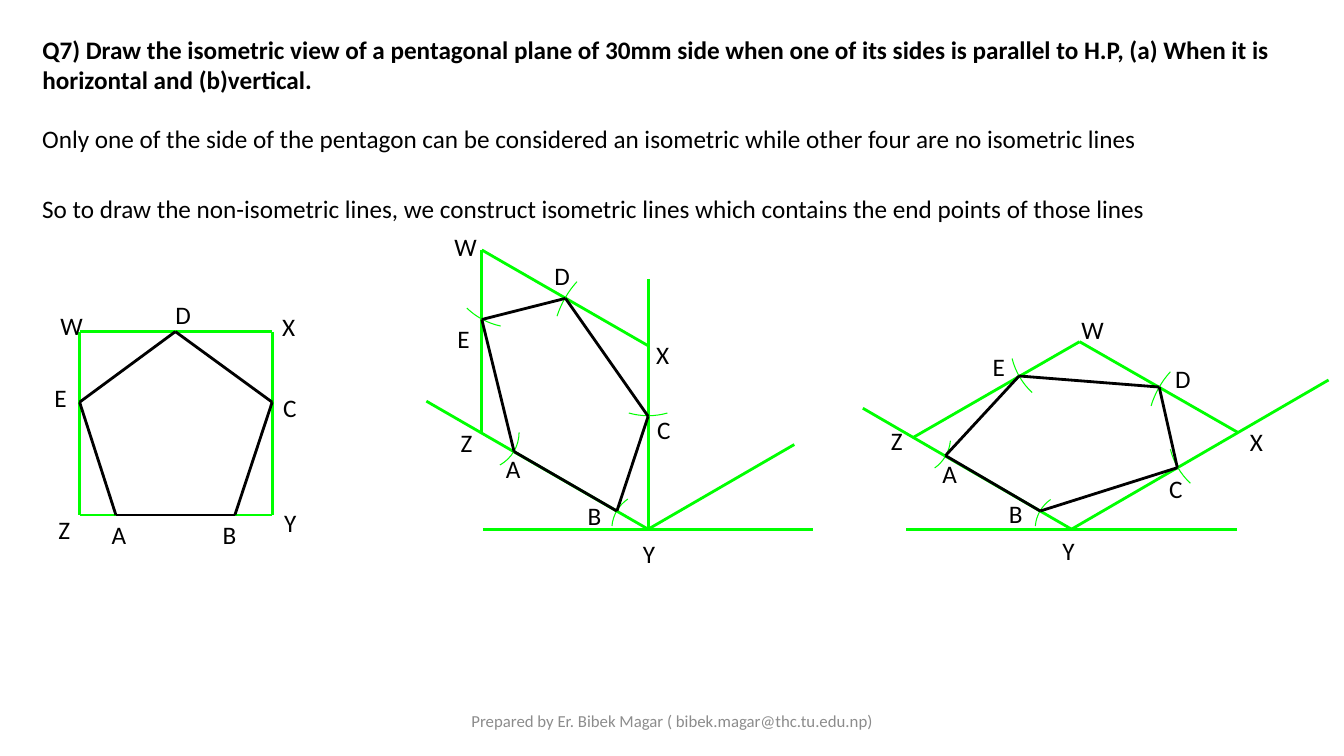
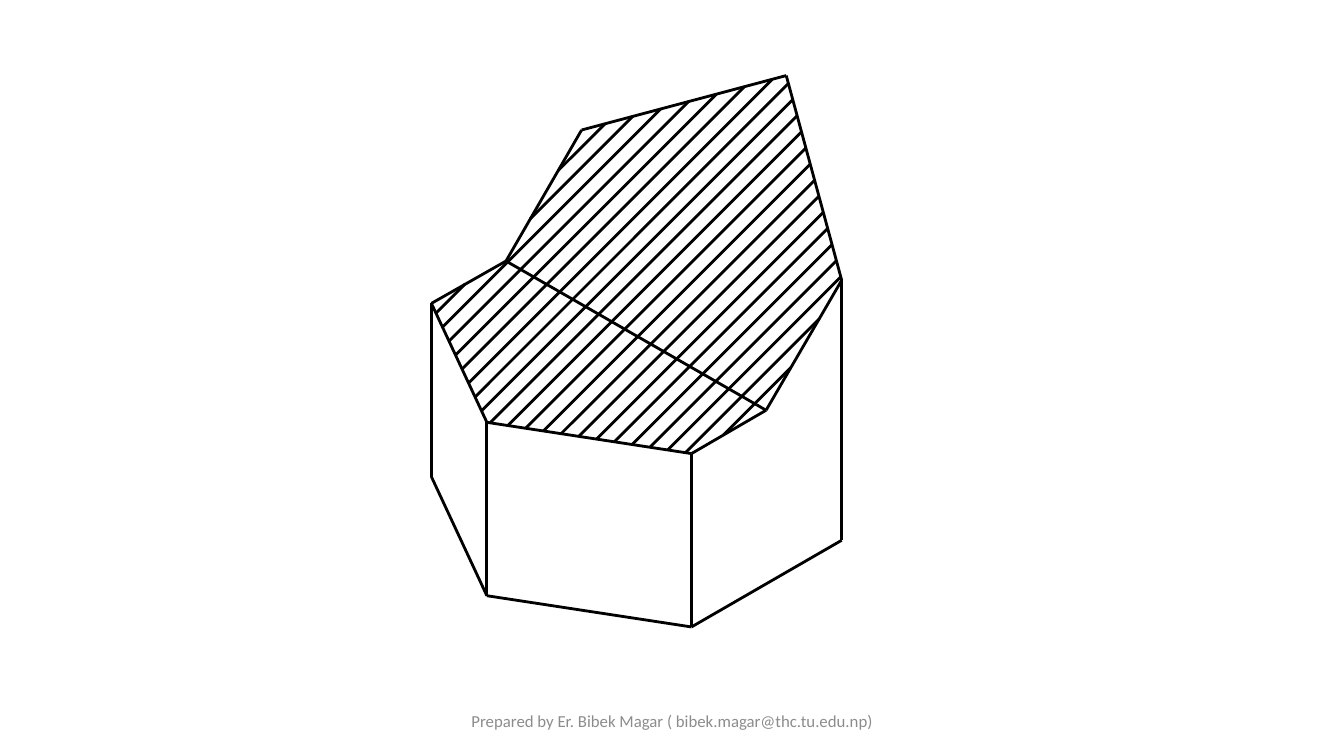
import math
from dataclasses import dataclass
from itertools import pairwise
from typing import NamedTuple

import pptx
import pptx.dml.color
import pptx.enum.shapes
import pptx.enum.text
import pptx.oxml.ns
import pptx.util
from lxml import etree

RGBColor = pptx.dml.color.RGBColor
BLACK = RGBColor(0x00, 0x00, 0x00)
GREEN = RGBColor(0x00, 0xFF, 0x00)
GREY = RGBColor(0x8C, 0x8C, 0x8C)

CELL = pptx.util.Inches(0.1)
COLS, ROWS = 133.33, 75
HAIRLINE = pptx.util.Pt(0)
ALIGN = pptx.enum.text.PP_ALIGN
ANCHOR = pptx.enum.text.MSO_ANCHOR

FONT = {"name": "Calibri", "size": pptx.util.Pt(18), "bold": False}
TITLE_FONT = FONT | {"bold": True}
FOOTER_FONT = FONT | {"size": pptx.util.Pt(12)}

FOOTER = "Prepared by Er. Bibek Magar ( bibek.magar@thc.tu.edu.np)"
TITLE = (
    "Q7) Draw the isometric view of a pentagonal plane of 30mm side when one of its "
    "sides is parallel to H.P, (a) When it is horizontal and (b)vertical."
)
NOTES = (
    "Only one of the side of the pentagon can be considered an isometric "
    "while other four are no isometric lines",
    "So to draw the non-isometric lines, we construct isometric lines "
    "which contains the end points of those lines",
)


class Point(NamedTuple):
    x: float
    y: float


class Vertex(NamedTuple):
    at: Point
    label: Point


class Arc(NamedTuple):
    center: Point
    radius: float
    start: float
    end: float


@dataclass(frozen=True)
class Figure:
    vertices: dict[str, Vertex]
    guides: tuple[str, ...]
    rays: tuple[Point, ...] = ()
    arcs: tuple[Arc, ...] = ()
    base_half: float = 0


def vertex(x: float, y: float, label_x: float, label_y: float) -> Vertex:
    return Vertex(Point(x, y), Point(label_x, label_y))


FIGURES = (
    Figure(
        vertices={
            "A": vertex(11.5, 51.1, 10.1, 51),
            "B": vertex(23.3, 51.1, 21.1, 51),
            "C": vertex(27, 39.9, 27.1, 38.4),
            "D": vertex(17.4, 32.9, 16.4, 29.2),
            "E": vertex(7.9, 39.9, 4.4, 37.4),
            "W": vertex(7.9, 32.9, 5, 30.3),
            "X": vertex(27, 32.9, 27, 30.4),
            "Y": vertex(27, 51.1, 27.2, 49.8),
            "Z": vertex(7.9, 51.1, 4.8, 50.5),
        },
        guides=("WZ", "XY", "XW", "ZY"),
    ),
    Figure(
        vertices={
            "A": vertex(51, 44.8, 49.2, 44.5),
            "B": vertex(61.2, 50.7, 57.3, 49.1),
            "C": vertex(64.3, 41.3, 64.2, 40.6),
            "D": vertex(56.1, 29.6, 54, 25.3),
            "E": vertex(47.8, 31.7, 44.4, 31.6),
            "W": vertex(47.8, 24.8, 44.1, 22.5),
            "X": vertex(64.3, 34.3, 64.1, 33.2),
            "Y": vertex(64.3, 52.5, 62.8, 52.9),
            "Z": vertex(47.8, 42.9, 44.7, 41.9),
        },
        guides=("XW", "WZ"),
        rays=(Point(64.3, 27.7), Point(78.8, 44.1), Point(42.3, 39.8)),
        arcs=(
            Arc(Point(64.3, 52.5), 3.6, 236, 185),
            Arc(Point(64.3, 34.3), 9.5, 222, 198),
            Arc(Point(64.3, 34.3), 6.95, 106, 74),
            Arc(Point(51.1, 25.6), 6.9, 134, 102),
            Arc(Point(47.8, 42.9), 3.7, 61, 0),
        ),
        base_half=16.4,
    ),
    Figure(
        vertices={
            "A": vertex(93.8, 45.2, 92.5, 45),
            "B": vertex(103.2, 50.7, 99.1, 48.9),
            "C": vertex(116.8, 46.4, 115, 46.5),
            "D": vertex(115, 38.4, 115.6, 35.6),
            "E": vertex(101.1, 37.3, 97.5, 34.4),
            "W": vertex(107.1, 33.9, 106.3, 30.7),
            "X": vertex(122.8, 42.9, 123, 41.8),
            "Y": vertex(106.3, 52.5, 104.4, 52.6),
            "Z": vertex(90.6, 43.4, 87.4, 41.7),
        },
        guides=("XW", "WZ"),
        rays=(Point(131.8, 37.7), Point(85.6, 40.5)),
        arcs=(
            Arc(Point(106.3, 52.5), 3.6, 235, 185),
            Arc(Point(90.6, 43.4), 3.7, 55, 5),
            Arc(Point(122.8, 42.9), 9, 222, 197),
            Arc(Point(122.8, 42.9), 6.9, 166, 133),
            Arc(Point(107.1, 33.9), 6.9, 166, 133),
        ),
        base_half=16.4,
    ),
)

CUT_FACE = (
    Point(48.3, 41.9), Point(42.8, 30.1), Point(50.2, 25.9), Point(57.7, 12.9),
    Point(78, 7.5), Point(83.5, 27.8), Point(76, 40.7), Point(68.6, 45),
)
FOLD = (CUT_FACE[2], CUT_FACE[6])
BASE = (Point(42.8, 47.3), Point(48.3, 59.1), Point(68.6, 62.2), Point(83.5, 53.6))
TOP = (CUT_FACE[1], CUT_FACE[0], CUT_FACE[7], CUT_FACE[5])
HATCH_START, HATCH_STEP, HATCH_COUNT = 72.3, 2.03, 22


def cells(n: float) -> int:
    return round(n * CELL)


def set_format(target: object, values: dict) -> None:
    for name, value in values.items():
        setattr(target, name, value)


def write(shape, text: str, font: dict, color: RGBColor = BLACK,
          align=ALIGN.LEFT, **frame) -> None:
    tf = shape.text_frame
    set_format(tf, {"word_wrap": True, "vertical_anchor": ANCHOR.TOP} | frame)
    p = tf.paragraphs[0]
    p.alignment = align
    r = p.add_run()
    r.text = text
    set_format(r.font, font)
    r.font.color.rgb = color


def add_text(s, at: Point, width: float, height: float, text: str,
             font: dict = FONT, **style) -> None:
    box = s.shapes.add_textbox(*map(cells, (*at, width, height)))
    write(box, text, font, **style)


def add_line(s, start: Point, end: Point, color: RGBColor = BLACK) -> None:
    line = s.shapes.add_connector(
        pptx.enum.shapes.MSO_CONNECTOR.STRAIGHT, *map(cells, (*start, *end)))
    line.line.color.rgb = color
    line.line.width = HAIRLINE
    sp_pr = line._element.spPr
    etree.SubElement(sp_pr, pptx.oxml.ns.qn("a:effectLst"))


def add_outline(s, points: tuple[Point, ...]) -> None:
    for start, end in pairwise((*points, points[0])):
        add_line(s, start, end)


def add_arc(s, arc: Arc, steps: int = 8) -> None:
    points = []
    for i in range(steps + 1):
        angle = math.radians(arc.start + (arc.end - arc.start) * i / steps)
        points.append((cells(arc.center.x + arc.radius * math.cos(angle)),
                       cells(arc.center.y + arc.radius * math.sin(angle))))
    builder = s.shapes.build_freeform(*points[0])
    builder.add_line_segments(points[1:], close=False)
    sp = builder.convert_to_shape()
    sp.shadow.inherit = False
    sp.fill.background()
    sp.line.color.rgb = GREEN
    sp.line.width = HAIRLINE


def draw_figure(s, figure: Figure) -> None:
    at = {name: v.at for name, v in figure.vertices.items()}
    y = at["Y"]
    if figure.base_half:
        add_line(s, Point(y.x - figure.base_half, y.y),
                 Point(y.x + figure.base_half, y.y), GREEN)
    for end in figure.rays:
        add_line(s, y, end, GREEN)
    for start, end in figure.guides:
        add_line(s, at[start], at[end], GREEN)
    for arc in figure.arcs:
        add_arc(s, arc)
    add_outline(s, tuple(at[name] for name in "ABCDE"))
    for name, v in figure.vertices.items():
        add_text(s, v.label, 2.9, 4, name, margin_right=0)


def crossings(outline: tuple[Point, ...], total: float) -> list[Point]:
    found = []
    for a, b in pairwise((*outline, outline[0])):
        low, high = a.x + a.y - total, b.x + b.y - total
        if low * high < 0:
            share = low / (low - high)
            found.append(Point(a.x + share * (b.x - a.x), a.y + share * (b.y - a.y)))
    return sorted(found)


def draw_solid(s) -> None:
    for i in range(HATCH_COUNT):
        ends = crossings(CUT_FACE, HATCH_START + i * HATCH_STEP)
        for start, end in zip(ends[::2], ends[1::2]):
            add_line(s, start, end)
    for start, end in (FOLD, *pairwise(BASE), *zip(BASE, TOP)):
        add_line(s, start, end)
    add_outline(s, CUT_FACE)


def add_slide(prs, layout: int):
    s = prs.slides.add_slide(prs.slide_layouts[layout])
    add_text(s, Point(44.2, 69.5), 45, 4, FOOTER, FOOTER_FONT, color=GREY,
             align=ALIGN.CENTER, vertical_anchor=ANCHOR.MIDDLE)
    return s


def main() -> None:
    prs = pptx.Presentation()
    prs.slide_width, prs.slide_height = cells(COLS), cells(ROWS)

    s = add_slide(prs, 5)
    title = s.shapes.title
    set_format(title, {"left": cells(3.2), "top": cells(2.9),
                       "width": cells(129), "height": cells(7.1)})
    write(title, TITLE, TITLE_FONT, auto_size=pptx.enum.text.MSO_AUTO_SIZE.NONE)
    for i, note in enumerate(NOTES):
        add_text(s, Point(3.2, 11.7 + 7 * i), 116, 4, note)
    for figure in FIGURES:
        draw_figure(s, figure)

    draw_solid(add_slide(prs, 6))
    prs.save("out.pptx")


if __name__ == "__main__":
    main()
